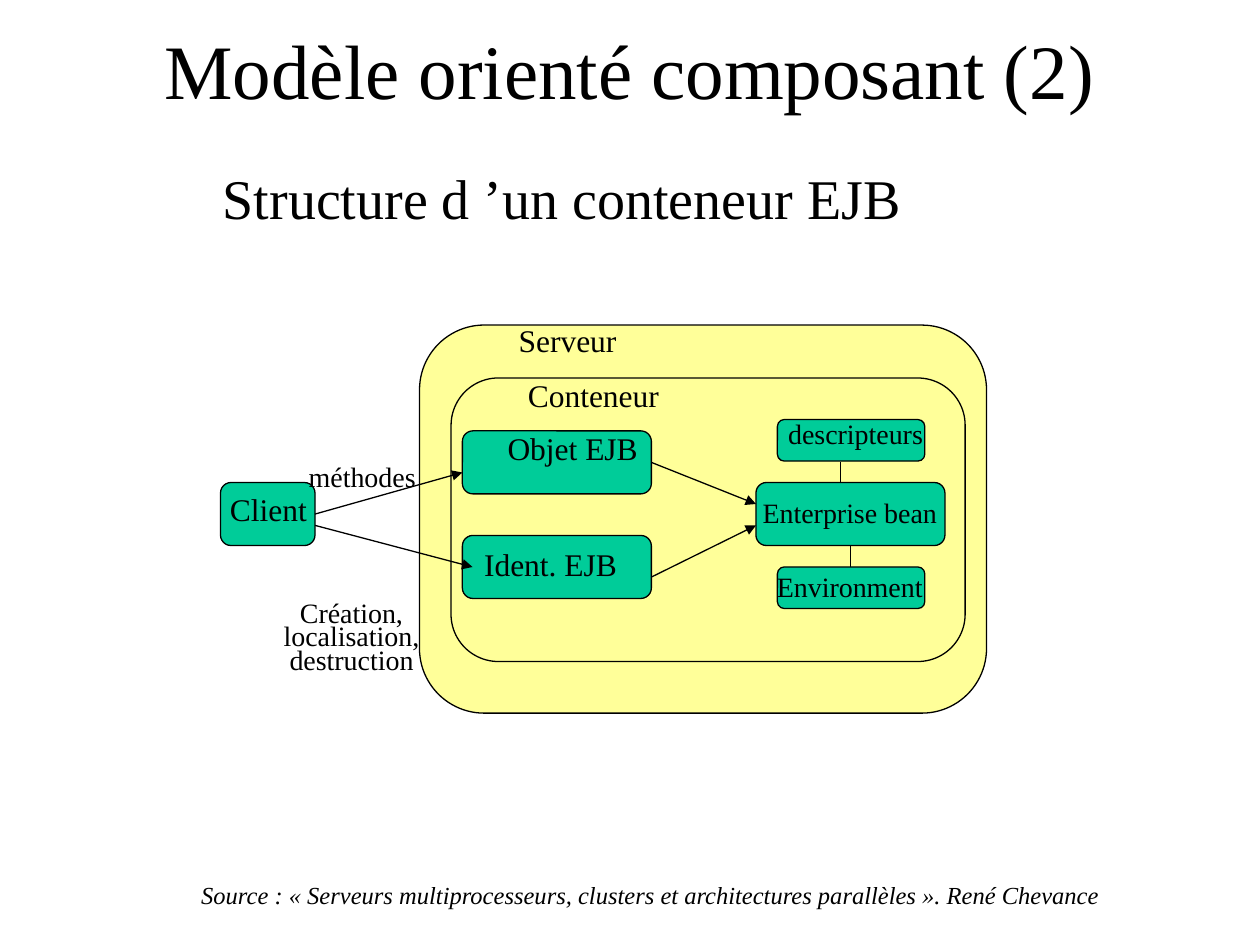
from lxml import etree
from pptx import Presentation
from pptx.dml.color import RGBColor
from pptx.enum.shapes import MSO_CONNECTOR as Connector, MSO_SHAPE as Shape
from pptx.enum.text import MSO_ANCHOR as Anchor, MSO_AUTO_SIZE as AutoSize, PP_ALIGN as Align
from pptx.oxml.ns import qn
from pptx.util import Inches, Pt

BLACK = RGBColor(0x00, 0x00, 0x00)
YELLOW = RGBColor(0xFF, 0xFF, 0x99)
GREEN = RGBColor(0x00, 0xCC, 0x99)
FONT = "Times New Roman"
LINE_WIDTH = Pt(0.75)


def add_text(slide, text, left, top, width, height, size,
             align=Align.CENTER, anchor=Anchor.TOP, italic=False):
    box = slide.shapes.add_textbox(*map(Inches, (left, top, width, height)))
    frame = box.text_frame
    frame.word_wrap = True
    frame.auto_size = AutoSize.NONE
    frame.vertical_anchor = anchor
    frame.text = text
    paragraph = frame.paragraphs[0]
    paragraph.alignment = align
    font = paragraph.runs[0].font
    font.name, font.size, font.italic = FONT, Pt(size), italic
    font.color.rgb = BLACK
    return paragraph


def add_label(slide, text, left, top, width, size, height=0.3, italic=False):
    """Centred diagram text with tight lines."""
    paragraph = add_text(slide, text, left, top, width, height, size, italic=italic)
    paragraph.line_spacing = 0.7
    paragraph.space_before = Pt(size * 0.625)


def add_box(slide, left, top, width, height, color=GREEN):
    box = slide.shapes.add_shape(Shape.ROUNDED_RECTANGLE,
                                 *map(Inches, (left, top, width, height)))
    box.shadow.inherit = False
    box.fill.solid()
    box.fill.fore_color.rgb = color
    box.line.color.rgb = BLACK
    box.line.width = LINE_WIDTH


def add_line(slide, start, end, arrow=False):
    line = slide.shapes.add_connector(Connector.STRAIGHT,
                                      *map(Inches, (*start, *end)))
    line.line.color.rgb = BLACK
    line.line.width = LINE_WIDTH
    if arrow:
        outline = line.line._get_or_add_ln()
        etree.SubElement(outline, qn("a:tailEnd"), type="triangle")
    etree.SubElement(line._element.spPr, qn("a:effectLst"))


def add_headings(slide):
    add_text(slide, "Modèle orienté composant (2)", 0.75, -0.08, 8.5, 1.25, 44,
             anchor=Anchor.MIDDLE)
    subtitle = add_text(slide, "Structure d\u00a0’un conteneur EJB",
                        1.67, 1.25, 6.83, 0.67, 32, align=Align.LEFT)
    subtitle.space_before = Pt(8)
    add_label(slide, "Source : «\u00a0Serveurs multiprocesseurs, clusters et architectures "
              "parallèles\u00a0». René Chevance", 0.58, 7, 9.17, 14, italic=True)


def add_diagram(slide):
    # Server and the container inside it
    add_box(slide, 3.33, 2.58, 4.5, 3.08, YELLOW)
    add_box(slide, 3.58, 3, 4.08, 2.25, YELLOW)

    # Components
    for left, top in ((3.67, 4.25), (6, 3.83), (3.67, 3.42)):
        add_box(slide, left, top, 1.5, 0.5)
    add_box(slide, 6.17, 3.33, 1.17, 0.33)
    add_box(slide, 1.75, 3.83, 0.75, 0.5)

    # Calls between components
    for start, end in (((5.17, 3.67), (6, 4)),
                       ((5.17, 4.58), (6, 4.17)),
                       ((2.5, 4.08), (3.67, 3.75)),
                       ((2.5, 4.17), (3.75, 4.5))):
        add_line(slide, start, end, arrow=True)

    # Links of the bean to its descriptors and environment
    add_line(slide, (6.67, 3.67), (6.67, 3.83))
    add_line(slide, (6.75, 4.33), (6.75, 4.58))
    add_box(slide, 6.17, 4.5, 1.17, 0.33)

    # Labels: text, left, top, width, size
    for label in (("Serveur", 3.92, 2.58, 1.17, 18),
                  ("Conteneur", 3.92, 3.02, 1.58, 18),
                  ("Client", 1.67, 3.92, 0.92, 18),
                  ("Objet EJB", 3.92, 3.44, 1.25, 18),
                  ("Ident. EJB", 3.58, 4.36, 1.58, 18),
                  ("descripteurs", 6.08, 3.33, 1.42, 16),
                  ("Enterprise bean", 5.83, 3.96, 1.83, 16),
                  ("Environment", 5.83, 4.54, 1.83, 16),
                  ("méthodes", 2.25, 3.67, 1.25, 16)):
        add_label(slide, *label)
    add_label(slide, "Création, localisation, destruction", 2, 4.75, 1.58, 16, height=0.66)


def main():
    presentation = Presentation()
    presentation.slide_width, presentation.slide_height = Inches(10), Inches(7.5)
    slide = presentation.slides.add_slide(presentation.slide_layouts[6])
    add_headings(slide)
    add_diagram(slide)
    presentation.save("out.pptx")


if __name__ == "__main__":
    main()
